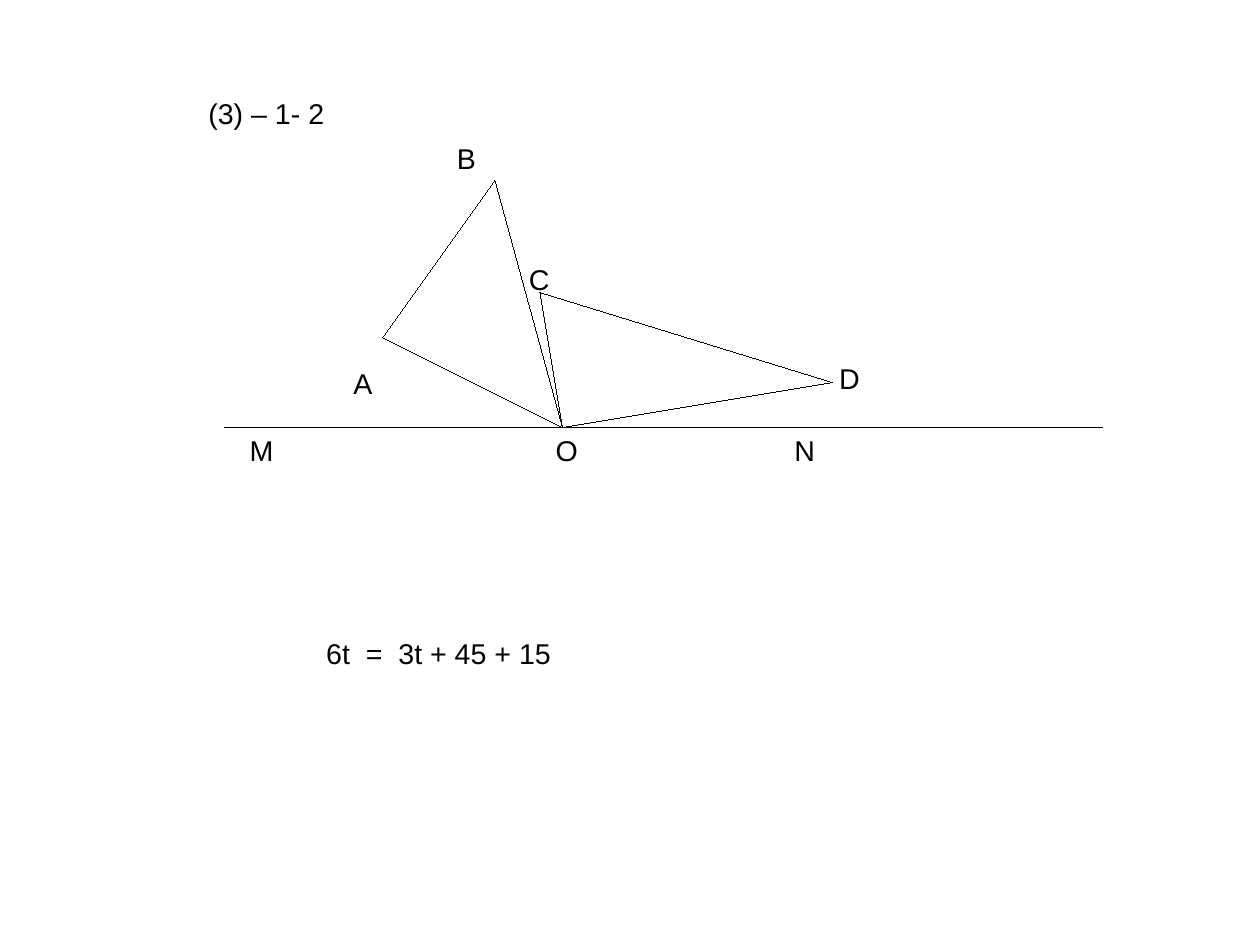
from dataclasses import dataclass

from pptx import Presentation, util as u
from pptx.dml.color import RGBColor
from pptx.enum import shapes, text
from pptx.oxml.ns import qn
from lxml import etree

PX = 9000  # EMU per px, 40 px to the centimetre
COLORS = {"ink": "000000"}
INK = RGBColor.from_string(COLORS["ink"])


@dataclass(frozen=True)
class Label:
    text: str
    x: int
    y: int
    w: int
    h: int = 39


def px(n: int) -> u.Emu:
    return u.Emu(n * PX)


def write(sp, label: Label) -> None:
    """Place a text shape and fill it with the label."""
    sp.left, sp.top = px(label.x), px(label.y)
    sp.width, sp.height = px(label.w), px(label.h)
    tf = sp.text_frame
    tf.text = label.text
    tf.word_wrap = False
    tf.auto_size = text.MSO_AUTO_SIZE.NONE
    tf.vertical_anchor = text.MSO_ANCHOR.TOP
    p = tf.paragraphs[0]
    p.alignment = text.PP_ALIGN.LEFT
    p.space_before = u.Pt(0)
    p.font.name, p.font.size = "Arial", u.Pt(18)
    p.font.color.rgb = INK


def draw_line(s, start: tuple[int, int], end: tuple[int, int]) -> None:
    line = s.shapes.add_connector(
        shapes.MSO_CONNECTOR.STRAIGHT, *map(px, start + end))
    line.line.color.rgb = INK
    props = line._element.spPr
    props.find(qn("a:ln")).set("w", "0")  # hairline
    etree.SubElement(props, qn("a:effectLst"))


# Named points of the figure
POINTS = {
    "A": (340, 300), "B": (440, 160), "C": (480, 260), "D": (740, 340),
    "O": (500, 380), "left": (200, 380), "right": (980, 380),
}
SEGMENTS = [("left", "right"), ("B", "A"), ("B", "O"), ("O", "C"),
            ("O", "D"), ("C", "D"), ("A", "O")]
TITLE = Label("(3) – 1- 2", 175, 80, 130)
LABELS = [
    Label("M", 212, 380, 42),
    Label("A", 304, 320, 37),
    Label("O", 484, 380, 40),
    Label("N", 696, 380, 39),
    Label("D", 736, 316, 39),
    Label("B", 396, 120, 37),
    Label("C", 460, 228, 39),
    Label("6t  =  3t + 45 + 15", 280, 560, 220, 67),
]


def main() -> None:
    prs = Presentation()
    prs.slide_width, prs.slide_height = px(1120), px(840)
    s = prs.slides.add_slide(prs.slide_layouts[5])

    # Title
    write(s.shapes.title, TITLE)

    # Base line and the two triangles
    for start, end in SEGMENTS:
        draw_line(s, POINTS[start], POINTS[end])

    # Point names and equation
    for label in LABELS:
        write(s.shapes.add_textbox(0, 0, 0, 0), label)

    prs.save("out.pptx")


if __name__ == "__main__":
    main()
